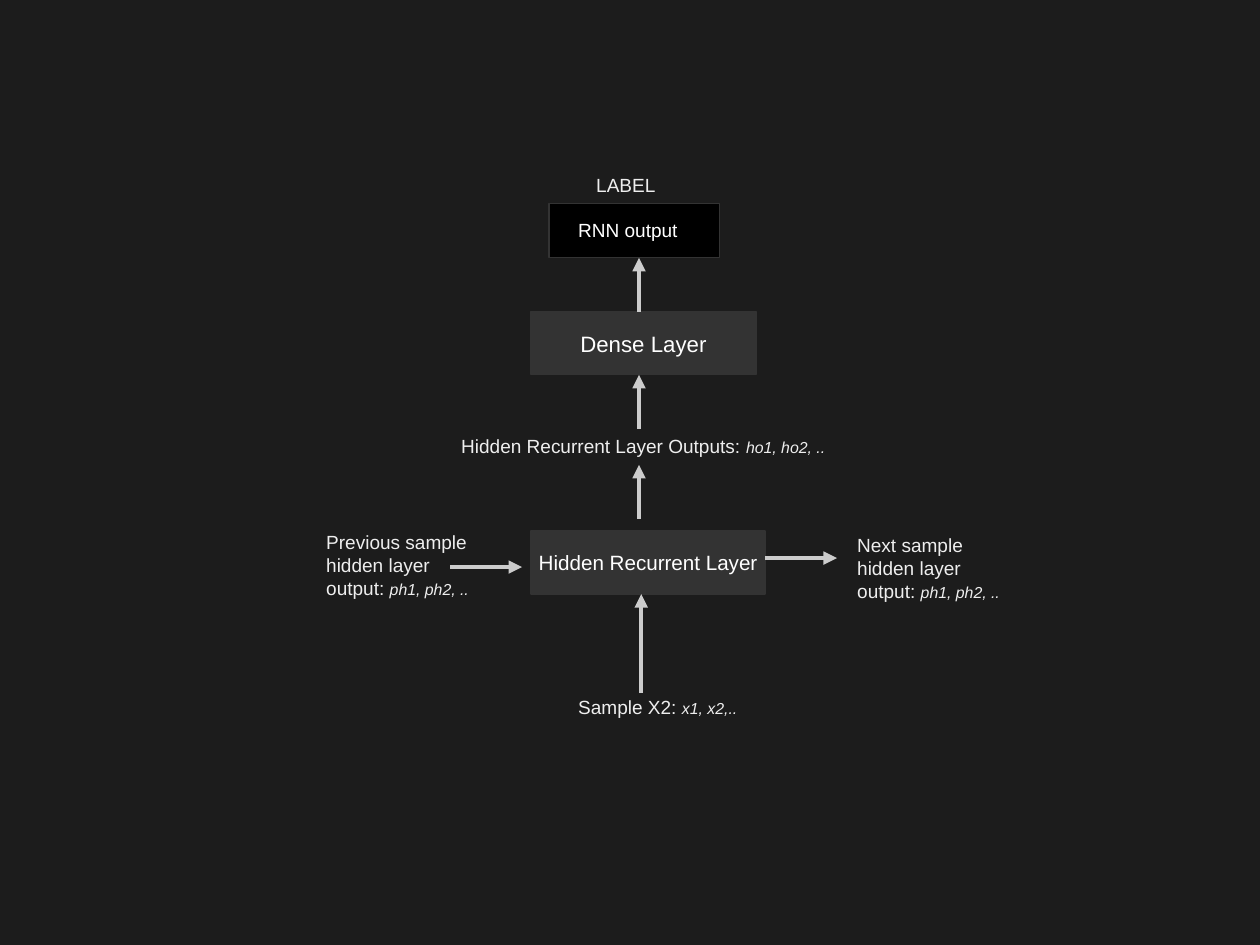
import pptx
import pptx.dml.color
import pptx.enum.shapes
import pptx.enum.text
import pptx.util
import lxml.etree
from pptx.oxml.ns import qn

Cm = pptx.util.Cm
Pt = pptx.util.Pt
RGBColor = pptx.dml.color.RGBColor
Shape = pptx.enum.shapes.MSO_SHAPE

BACKGROUND = RGBColor(0x1C, 0x1C, 0x1C)
BLACK = RGBColor(0x00, 0x00, 0x00)
LAYER_GRAY = RGBColor(0x33, 0x33, 0x33)
ARROW_GRAY = RGBColor(0xCC, 0xCC, 0xCC)
LABEL_GRAY = RGBColor(0xEE, 0xEE, 0xEE)
WHITE = RGBColor(0xFF, 0xFF, 0xFF)


class Diagram:
    font_name = "Arial"
    label_size = 12
    value_size = 10
    arrow_width = 2.83

    def __init__(self, page):
        self.page = page
        page.background.fill.solid()
        page.background.fill.fore_color.rgb = BACKGROUND

    def span(self, para, text, size, color, italic=False):
        run = para.add_run()
        run.text = text
        run.font.name = self.font_name
        run.font.size = Pt(size)
        run.font.italic = italic
        run.font.color.rgb = color

    def box(self, kind, left, top, width, height, fill):
        box = self.page.shapes.add_shape(kind, Cm(left), Cm(top), Cm(width), Cm(height))
        box.shadow.inherit = False
        box.fill.solid()
        box.fill.fore_color.rgb = fill
        box.line.color.rgb = LAYER_GRAY
        box.line.width = Pt(0)
        return box

    def layer(self, name, top, width, size):
        box = self.box(Shape.FLOWCHART_PROCESS, 11.8, top, width, 1.4, LAYER_GRAY)
        frame = box.text_frame
        frame.word_wrap = False
        frame.vertical_anchor = pptx.enum.text.MSO_ANCHOR.MIDDLE
        para = frame.paragraphs[0]
        para.alignment = pptx.enum.text.PP_ALIGN.CENTER
        self.span(para, name, size, WHITE)

    def label(self, left, top, width, height, text, values="", color=LABEL_GRAY):
        """Write a label, followed by its values in small italics."""
        box = self.page.shapes.add_textbox(Cm(left), Cm(top), Cm(width), Cm(height))
        box.text_frame.word_wrap = True
        para = box.text_frame.paragraphs[0]
        self.span(para, text, self.label_size, color)
        if values:
            self.span(para, values, self.value_size, color, italic=True)

    def arrow(self, start_x, start_y, end_x, end_y):
        line = self.page.shapes.add_connector(
            pptx.enum.shapes.MSO_CONNECTOR.STRAIGHT,
            Cm(start_x), Cm(start_y), Cm(end_x), Cm(end_y))
        line.line.color.rgb = ARROW_GRAY
        line.line.width = Pt(self.arrow_width)
        outline = line.line._get_or_add_ln()
        lxml.etree.SubElement(outline, qn("a:tailEnd"), type="triangle")
        lxml.etree.SubElement(line._element.spPr, qn("a:effectLst"))


def main():
    deck = pptx.Presentation()
    deck.slide_width, deck.slide_height = Cm(28), Cm(21)
    page = deck.slides.add_slide(deck.slide_layouts[6])
    diagram = Diagram(page)

    diagram.box(Shape.RECTANGLE, 12.2, 4.53, 3.8, 1.2, BLACK)
    diagram.layer("Dense Layer", 6.93, 5, 14)
    diagram.layer("Hidden Recurrent Layer", 11.8, 5.2, 13)

    for start_y in (6.93, 9.53, 11.53):
        diagram.arrow(14.2, start_y, 14.2, start_y - 1.2)
    diagram.arrow(14.25, 15.4, 14.25, 13.2)
    for start_x, level in ((10, 12.6), (17, 12.4)):
        diagram.arrow(start_x, level, start_x + 1.6, level)

    diagram.label(13, 3.73, 4, 0.8, "LABEL")
    diagram.label(12.6, 4.73, 4, 0.8, "RNN output", color=WHITE)
    diagram.label(10, 9.53, 9.2, 0.8, "Hidden Recurrent Layer Outputs: ", "ho1, ho2, ..")
    diagram.label(7, 11.66, 4, 1.68, "Previous sample hidden layer output: ", "ph1, ph2, ..")
    diagram.label(18.8, 11.73, 4, 1.68, "Next sample hidden layer output: ", "ph1, ph2, ..")
    diagram.label(12.6, 15.33, 4.6, 0.8, "Sample X2: ", "x1, x2,..")

    deck.save("out.pptx")


if __name__ == "__main__":
    main()
